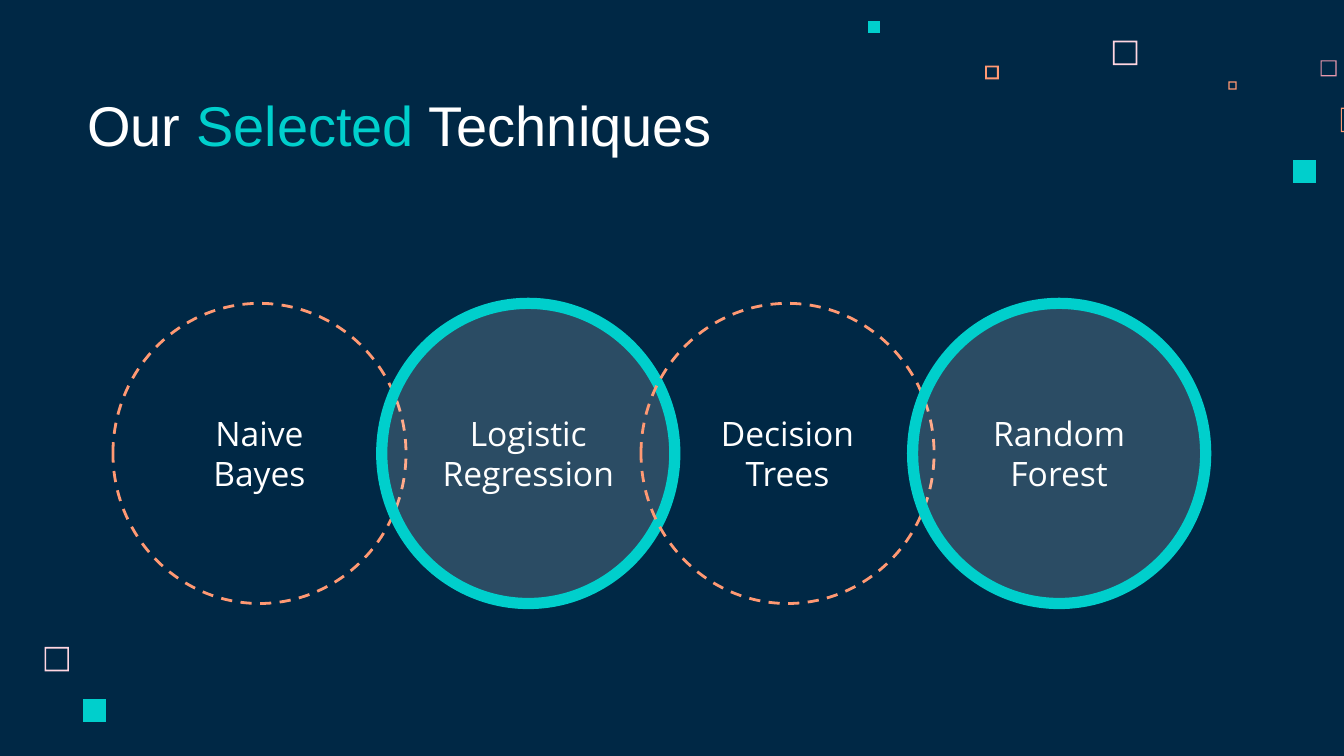
from lxml.etree import SubElement
from pptx import Presentation
from pptx.dml.color import RGBColor
from pptx.enum.dml import MSO_LINE
from pptx.enum.shapes import MSO_SHAPE as SHAPE
from pptx.enum.text import MSO_ANCHOR as ANCHOR, PP_ALIGN as ALIGN
from pptx.oxml.ns import qn
from pptx.util import Pt

NAVY = RGBColor(0x00, 0x28, 0x45)
TEAL = RGBColor(0x00, 0xCF, 0xCC)
ORANGE = RGBColor(0xFF, 0x99, 0x73)
PINK = RGBColor(0xFF, 0xD6, 0xE1)
ROSE = RGBColor(0xE8, 0x98, 0xAC)
WHITE = RGBColor(0xFF, 0xFF, 0xFF)

# left, top, side, border (0 means solid), colour
SQUARES = [
    (596.2, 21.8, 13.1, 0.9, PINK),
    (707.4, 32.3, 8.6, 0.6, ROSE),
    (658.1, 43.6, 4.4, 0.7, ORANGE),
    (718.3, 57.7, 13.1, 0.6, ORANGE),
    (692.6, 85.7, 12.4, 0, TEAL),
    (527.7, 35.1, 7.4, 1, ORANGE),
    (465, 11.3, 6.5, 0, TEAL),
    (23.9, 346.6, 13.1, 0.9, PINK),
    (44.5, 374.4, 12.4, 0, TEAL),
]

# left, label, highlighted
TECHNIQUES = [
    (60.5, "Naive Bayes", False),
    (204.5, "Logistic Regression", True),
    (343.4, "Decision Trees", False),
    (488.9, "Random Forest", True),
]
CIRCLE_TOP, CIRCLE_W, CIRCLE_H = 162.5, 157, 160.8


def set_margins(tf):
    tf.margin_left = tf.margin_right = tf.margin_top = tf.margin_bottom = Pt(7.2)


def style_run(r, font, size, color):
    r.font.name = font
    r.font.size = Pt(size)
    r.font.color.rgb = color


def set_opacity(sp, percent):
    color = sp.fill._xPr.find(qn("a:solidFill"))[0]
    SubElement(color, qn("a:alpha"), val=str(percent * 1000))


def add_square(slide, left, top, side, border, color):
    """Draw a solid square, or a square frame when border is above zero."""
    right, bottom = left + side, top + side
    builder = slide.shapes.build_freeform(Pt(left), Pt(top))
    builder.add_line_segments(
        [(Pt(left), Pt(bottom)), (Pt(right), Pt(bottom)), (Pt(right), Pt(top))])
    if border:
        x1, y1 = Pt(left + border), Pt(top + border)
        x2, y2 = Pt(right - border), Pt(bottom - border)
        builder.move_to(x1, y1)
        builder.add_line_segments([(x2, y1), (x2, y2), (x1, y2)])
    sp = builder.convert_to_shape()
    sp.shadow.inherit = False
    sp.fill.solid()
    sp.fill.fore_color.rgb = color
    sp.line.fill.background()


def add_title(slide):
    title = slide.shapes.title
    title.left, title.top = Pt(39.6), Pt(46.1)
    title.width, title.height = Pt(372.2), Pt(45.4)
    tf = title.text_frame
    set_margins(tf)
    tf.word_wrap = True
    tf.vertical_anchor = ANCHOR.BOTTOM
    p = tf.paragraphs[0]
    p.alignment = ALIGN.LEFT
    p.line_spacing = 1.0
    p.space_before = Pt(0)
    for text, color in (("Our ", WHITE), ("Selected", TEAL), (" Techniques", WHITE)):
        r = p.add_run()
        r.text = text
        style_run(r, "Arial", 30, color)


def add_circle(slide, left, label, highlighted):
    sp = slide.shapes.add_shape(
        SHAPE.OVAL, Pt(left), Pt(CIRCLE_TOP), Pt(CIRCLE_W), Pt(CIRCLE_H))
    sp.shadow.inherit = False
    if highlighted:
        sp.fill.solid()
        sp.fill.fore_color.rgb = WHITE
        set_opacity(sp, 17)
        sp.line.color.rgb = TEAL
        sp.line.width = Pt(6)
    else:
        sp.fill.background()
        sp.line.color.rgb = ORANGE
        sp.line.width = Pt(1.5)
        sp.line.dash_style = MSO_LINE.DASH
    tf = sp.text_frame
    set_margins(tf)
    tf.word_wrap = True
    tf.vertical_anchor = ANCHOR.MIDDLE
    tf.text = label
    p = tf.paragraphs[0]
    p.alignment = ALIGN.CENTER
    style_run(p.runs[0], "Open Sans", 18, WHITE)


def main():
    prs = Presentation()
    prs.slide_width, prs.slide_height = Pt(720), Pt(405)
    slide = prs.slides.add_slide(prs.slide_layouts[5])
    slide.background.fill.solid()
    slide.background.fill.fore_color.rgb = NAVY
    for square in SQUARES:
        add_square(slide, *square)
    add_title(slide)
    for technique in TECHNIQUES:
        add_circle(slide, *technique)
    prs.save("out.pptx")


if __name__ == "__main__":
    main()
